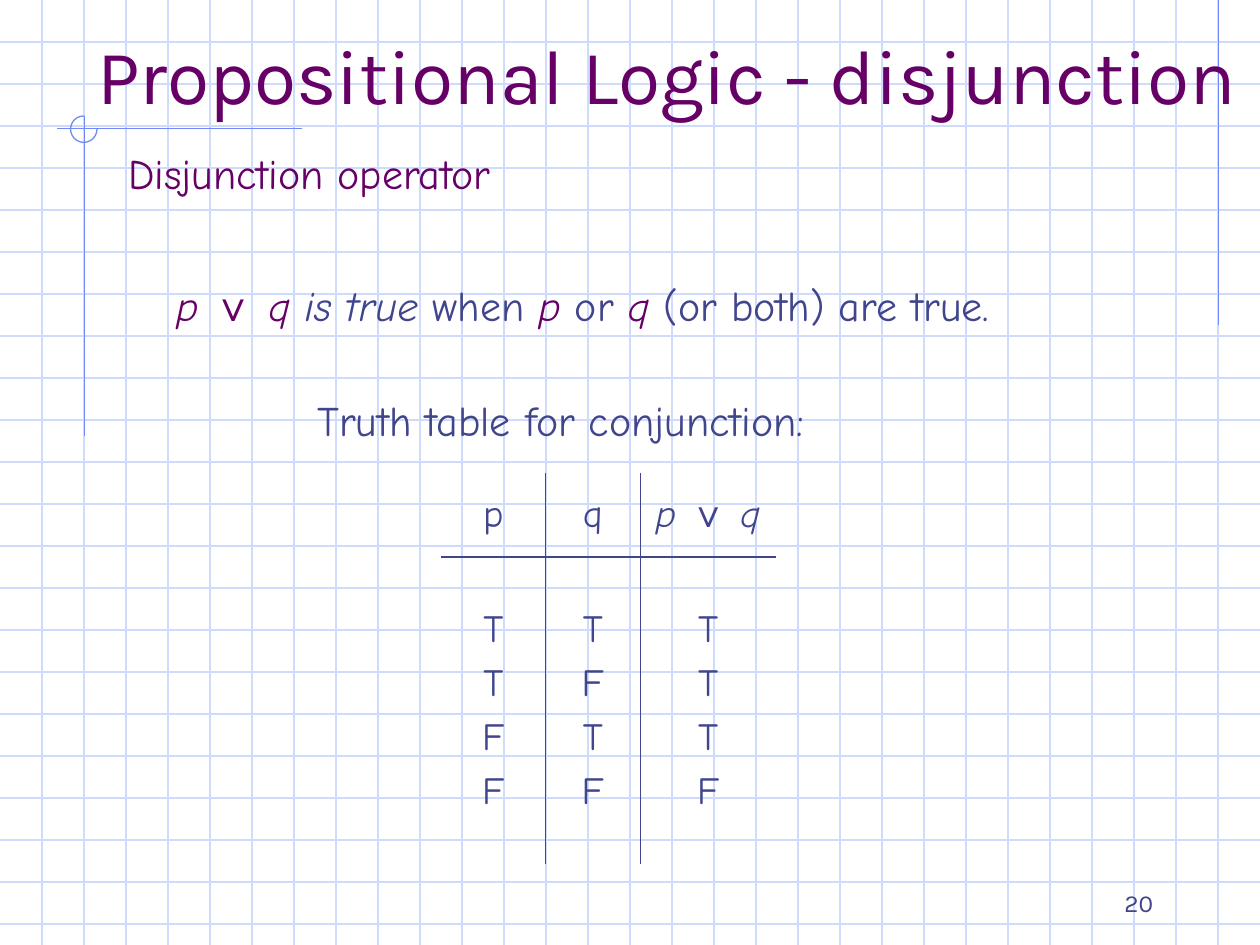
from lxml import etree
from pptx import Presentation
from pptx.dml.color import RGBColor
from pptx.enum.shapes import MSO_CONNECTOR, MSO_SHAPE
from pptx.enum.text import MSO_ANCHOR, MSO_AUTO_SIZE, PP_ALIGN
from pptx.oxml.ns import qn
from pptx.util import Inches, Pt

STRAIGHT = MSO_CONNECTOR.STRAIGHT
ARC = MSO_SHAPE.ARC
MIDDLE, BOTTOM, TOP = MSO_ANCHOR.MIDDLE, MSO_ANCHOR.BOTTOM, MSO_ANCHOR.TOP
LEFT, CENTER, RIGHT = PP_ALIGN.LEFT, PP_ALIGN.CENTER, PP_ALIGN.RIGHT
NO_AUTOFIT = MSO_AUTO_SIZE.NONE

WIDTH, HEIGHT = 10, 7.5
GRID_STEP = 1 / 3
GRID, ACCENT, INK, PURPLE = "CFDBFD", "6F89F7", "40458C", "660066"
TITLE_FONT, BODY_FONT, SYMBOL_FONT = "Karla", "Comic Neue", "Arial"
THIN, THICK = 0.45, 1.47


def color(value):
    return RGBColor.from_string(value)


def add_line(slide, start, end, line_color):
    line = slide.shapes.add_connector(
        STRAIGHT, *(Inches(value) for value in (*start, *end)))
    line.line.color.rgb = color(line_color)
    line.line.width = Pt(0.75)
    etree.SubElement(line._element.spPr, qn("a:effectLst"))


def add_run(paragraph, text, size=24, font=BODY_FONT, fill=INK, italic=False):
    run = paragraph.add_run()
    run.text = text
    run.font.size = Pt(size)
    run.font.name = font
    run.font.color.rgb = color(fill)
    run.font.italic = italic
    run.font.bold = False


def add_disjunction(paragraph, **text_format):
    add_run(paragraph, "p ", italic=True, **text_format)
    add_run(paragraph, "∨", font=SYMBOL_FONT, **text_format)
    add_run(paragraph, " q", italic=True, **text_format)


def add_text_box(slide, left, top, width, height, anchor=TOP):
    box = slide.shapes.add_textbox(
        Inches(left), Inches(top), Inches(width), Inches(height))
    box.text_frame.word_wrap = True
    box.text_frame.vertical_anchor = anchor
    return box.text_frame


def add_background(slide):
    for row in range(1, int(HEIGHT / GRID_STEP) + 1):
        add_line(slide, (0, row * GRID_STEP), (WIDTH, row * GRID_STEP), GRID)
    for column in range(1, round(WIDTH / GRID_STEP)):
        add_line(slide, (column * GRID_STEP, 0), (column * GRID_STEP, HEIGHT), GRID)
    add_line(slide, (9.67, 0), (9.67, 2.58), ACCENT)
    add_line(slide, (2.4, 1.02), (0.45, 1.02), ACCENT)
    add_line(slide, (0.67, 0.92), (0.67, 3.46), ACCENT)
    arc = slide.shapes.add_shape(
        ARC, Inches(0.56), Inches(0.92), Inches(0.21), Inches(0.21))
    arc.adjustments[0] = 0
    arc.adjustments[1] = 162
    arc.shadow.inherit = False
    arc.fill.background()
    arc.line.color.rgb = color(ACCENT)
    arc.line.width = Pt(0.75)


def add_title(slide, text):
    title = slide.shapes.title
    title.left, title.top = Inches(0.67), Inches(0.33)
    title.width, title.height = Inches(9.33), Inches(0.67)
    frame = title.text_frame
    frame.auto_size = NO_AUTOFIT
    frame.word_wrap = True
    frame.vertical_anchor = BOTTOM
    frame.paragraphs[0].alignment = LEFT
    add_run(frame.paragraphs[0], text, size=44, font=TITLE_FONT, fill=PURPLE)
    title._element.getparent().append(title._element)


def add_body(slide):
    frame = add_text_box(slide, 0.92, 1.17, 8.83, 5.42)
    heading = frame.paragraphs[0]
    heading.line_spacing = 0.9
    add_run(heading, "Disjunction operator", fill=PURPLE)
    rule = frame.add_paragraph()
    rule.line_spacing = 0.9
    rule.space_before = Pt(49)
    rule._p.get_or_add_pPr().set("marL", str(Inches(0.38)))
    add_disjunction(rule, fill=PURPLE)
    add_run(rule, " is true ", italic=True)
    add_run(rule, "when ")
    add_run(rule, "p", fill=PURPLE, italic=True)
    add_run(rule, " or ")
    add_run(rule, "q", fill=PURPLE, italic=True)
    add_run(rule, " (or both) are true.")


def set_borders(cell, **widths):
    properties = cell._tc.get_or_add_tcPr()
    for index, side in enumerate("LRTB"):
        width = widths.get(side, 0)
        border = etree.Element(qn(f"a:ln{side}"), w=str(Pt(width)))
        if width:
            fill = etree.SubElement(border, qn("a:solidFill"))
            etree.SubElement(fill, qn("a:srgbClr"), val=INK)
        else:
            etree.SubElement(border, qn("a:noFill"))
        properties.insert(index, border)


def add_truth_table(slide):
    column_widths, row_heights = (0.83, 0.75, 1.08), (0.67, 2.44)
    headers = ("p", "q", None)
    truth_values = ("TTFF", "TFTF", "TTTF")
    table = slide.shapes.add_table(
        2, 3, Inches(3.5), Inches(3.75), Inches(2.67), Inches(3.11)).table
    table.first_row = table.horz_banding = False
    for row, height in zip(table.rows, row_heights):
        row.height = Inches(height)
    for index, width in enumerate(column_widths):
        table.columns[index].width = Inches(width)
        sides = {"L": THIN if index else 0,
                 "R": THIN if index < len(headers) - 1 else 0}
        header, body = table.cell(0, index), table.cell(1, index)
        for cell, edge in ((header, "B"), (body, "T")):
            cell.fill.background()
            cell.vertical_anchor = MIDDLE
            set_borders(cell, **sides, **{edge: THICK})
        paragraph = header.text_frame.paragraphs[0]
        paragraph.alignment = CENTER
        if headers[index]:
            add_run(paragraph, headers[index], size=22)
        else:
            add_disjunction(paragraph, size=22)
        for position, value in enumerate(truth_values[index]):
            if position:
                paragraph = body.text_frame.add_paragraph()
                paragraph.space_before = Pt(5.5)
            else:
                paragraph = body.text_frame.paragraphs[0]
            paragraph.alignment = CENTER
            add_run(paragraph, value, size=22)


def main():
    presentation = Presentation()
    presentation.slide_width = Inches(WIDTH)
    presentation.slide_height = Inches(HEIGHT)
    slide = presentation.slides.add_slide(presentation.slide_layouts[5])
    add_background(slide)
    number = add_text_box(slide, 7.17, 7.08, 2.08, 0.25, anchor=BOTTOM).paragraphs[0]
    number.alignment = RIGHT
    add_run(number, "20", size=14, font=TITLE_FONT)
    add_title(slide, "Propositional Logic - disjunction")
    add_body(slide)
    caption = add_text_box(slide, 2.42, 3.08, 4.83, 0.5).paragraphs[0]
    add_run(caption, "Truth table for conjunction:")
    add_truth_table(slide)
    presentation.save("out.pptx")


if __name__ == "__main__":
    main()
